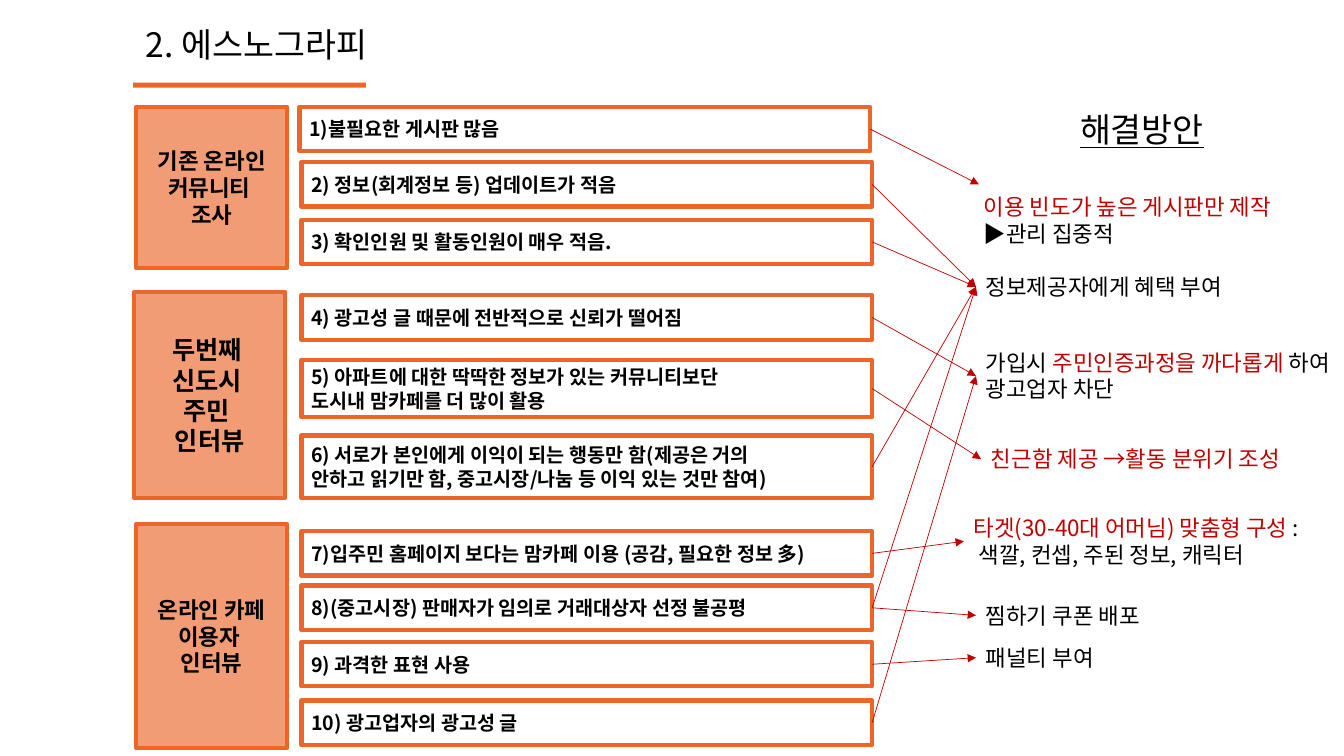
from lxml.etree import SubElement
from pptx import Presentation
from pptx.dml.color import RGBColor
from pptx.enum.shapes import MSO_CONNECTOR as Connector, MSO_SHAPE as Shape
from pptx.enum.text import MSO_ANCHOR as Anchor, MSO_AUTO_SIZE as AutoSize, PP_ALIGN as Align
from pptx.oxml.ns import qn
from pptx.util import Pt

PX = 9144  # 100 px to the inch
FONT = "Noto Sans CJK KR"
ORANGE = RGBColor(0xEB, 0x66, 0x28)
PEACH = RGBColor(0xF2, 0x9C, 0x76)
RED = RGBColor(0xC0, 0x00, 0x00)
BLACK = RGBColor(0x00, 0x00, 0x00)
WHITE = RGBColor(0xFF, 0xFF, 0xFF)
RIGHT_SIDE, LEFT_SIDE = 3, 1


class Page:
    """The current slide and its style."""

    def __init__(self, deck):
        self.slide = deck.slides.add_slide(deck.slide_layouts[6])
        self.shapes = self.slide.shapes

    def set_lines(self, box, lines, size, bold=False, align=Align.LEFT, underline=None):
        """A line is a string, or a list of (text, colour) pairs."""
        frame = box.text_frame
        frame.word_wrap = True
        for number, line in enumerate(lines):
            para = frame.paragraphs[0] if number == 0 else frame.add_paragraph()
            para.alignment = align
            font = para.font
            font.size, font.bold, font.name = Pt(size), bold, FONT
            font.underline = underline
            font.color.rgb = BLACK
            defaults = para._p.pPr.find(qn("a:defRPr"))
            SubElement(defaults, qn("a:ea")).set("typeface", FONT)
            spans = [(line, BLACK)] if isinstance(line, str) else line
            for text, colour in spans:
                span = para.add_run()
                span.text = text
                if colour != BLACK or len(spans) > 1:
                    span.font.color.rgb = colour

    def bar(self, left, top, width, height, fill):
        bar = self.shapes.add_shape(
            Shape.RECTANGLE, left * PX, top * PX, width * PX, height * PX)
        bar.shadow.inherit = False
        bar.fill.solid()
        bar.fill.fore_color.rgb = fill
        bar.line.fill.background()
        return bar

    def box(self, left, top, width, height, fill, lines, size, align=Align.LEFT):
        box = self.bar(left, top, width, height, fill)
        box.line.color.rgb = ORANGE
        box.line.width = Pt(3)
        box.text_frame.vertical_anchor = Anchor.MIDDLE
        self.set_lines(box, lines, size, bold=True, align=align)
        return box

    def text(self, left, top, width, height, lines, size=16, indent=0, **style):
        box = self.shapes.add_textbox(left * PX, top * PX, width * PX, height * PX)
        self.set_lines(box, lines, size, **style)
        box.text_frame.auto_size = AutoSize.SHAPE_TO_FIT_TEXT
        if indent:
            box.text_frame.paragraphs[-1]._p.pPr.set("marL", str(indent * PX))
        return box

    def arrow(self, source, target):
        """The target is a box, or a free (x, y) point."""
        free = isinstance(target, tuple)
        x, y = target if free else (0, 0)
        arrow = self.shapes.add_connector(Connector.STRAIGHT, 0, 0, x * PX, y * PX)
        arrow.begin_connect(source, RIGHT_SIDE)
        if not free:
            arrow.end_connect(target, LEFT_SIDE)
        arrow.line.color.rgb = RED
        arrow.line.width = Pt(0.5)
        SubElement(arrow.line._get_or_add_ln(), qn("a:tailEnd")).set("type", "triangle")
        SubElement(arrow._element.spPr, qn("a:effectLst"))


# Findings: left, top, height, lines
FINDINGS = [
    (297, 106, 44, ["1)불필요한 게시판 많음"]),
    (299, 161, 44, ["2) 정보(회계정보 등) 업데이트가 적음"]),
    (299, 218, 44, ["3) 확인인원 및 활동인원이 매우 적음."]),
    (299, 293, 44, ["4) 광고성 글 때문에 전반적으로 신뢰가 떨어짐"]),
    (299, 357, 57, ["5) 아파트에 대한 딱딱한 정보가 있는 커뮤니티보단",
                    "도시내 맘카페를 더 많이 활용"]),
    (299, 432, 62, ["6) 서로가 본인에게 이익이 되는 행동만 함(제공은 거의",
                    "안하고 읽기만 함, 중고시장/나눔 등 이익 있는 것만 참여)"]),
    (299, 527, 44, ["7)입주민 홈페이지 보다는 맘카페 이용 (공감, 필요한 정보 多)"]),
    (299, 581, 44, ["8)(중고시장) 판매자가 임의로 거래대상자 선정 불공평"]),
    (299, 637, 44, ["9) 과격한 표현 사용"]),
    (299, 695, 44, ["10) 광고업자의 광고성 글"]),
]

# Sources: left, top, height, size, lines
SOURCES = [
    (135, 106, 160, 16, ["기존 온라인 커뮤니티 ", "조사"]),
    (133, 290, 204, 18, ["두번째 ", "신도시 ", "주민 ", "인터뷰"]),
    (135, 520, 222, 16, ["온라인 카페", "이용자 ", "인터뷰"]),
]


def main():
    deck = Presentation()
    deck.slide_width, deck.slide_height = 1333 * PX, 750 * PX
    page = Page(deck)

    # Heading
    page.text(135, 19, 276, 50, ["2. 에스노그라피"], size=24)
    page.bar(132, 82, 231, 5, ORANGE)

    # Sources and their findings
    for left, top, height, size, lines in SOURCES:
        page.box(left, top, 150, height, PEACH, lines, size, Align.CENTER)
    findings = [page.box(left, top, 566, height, WHITE, lines, 14)
                for left, top, height, lines in FINDINGS]

    # Solutions
    page.text(1030, 103, 205, 50, ["해결방안"], size=24, align=Align.CENTER, underline=True)
    page.text(966, 187, 396, 64,
              [[("이용 빈도가 높은 게시판만 제작", RED)], "▶관리 집중적"])
    benefit = page.text(968, 266, 360, 37, ["정보제공자에게 혜택 부여"])
    screening = page.text(968, 341, 375, 64, [[
        ("가입시 ", BLACK), ("주민인증과정을 까다롭게 ", RED), ("하여 광고업자 차단", BLACK)]])
    friendly = page.text(973, 437, 385, 37, [[("친근함 제공 →활동 분위기 조성", RED)]])
    tailored = page.text(956, 505, 378, 64, [
        [("타겟(30-40대 어머님) 맞춤형 구성 ", RED), (":", BLACK)],
        "색깔, 컨셉, 주된 정보, 캐릭터"], indent=5)
    coupon = page.text(968, 592, 268, 37, ["찜하기 쿠폰 배포"])
    penalty = page.text(968, 634, 360, 37, ["패널티 부여"])

    # Arrows from finding number to solution
    for number, target in [
            (1, (971, 183)), (2, benefit), (3, benefit), (4, screening),
            (5, friendly), (6, benefit), (7, tailored), (8, benefit),
            (8, coupon), (9, penalty), (10, screening)]:
        page.arrow(findings[number - 1], target)

    deck.save("out.pptx")


if __name__ == "__main__":
    main()
